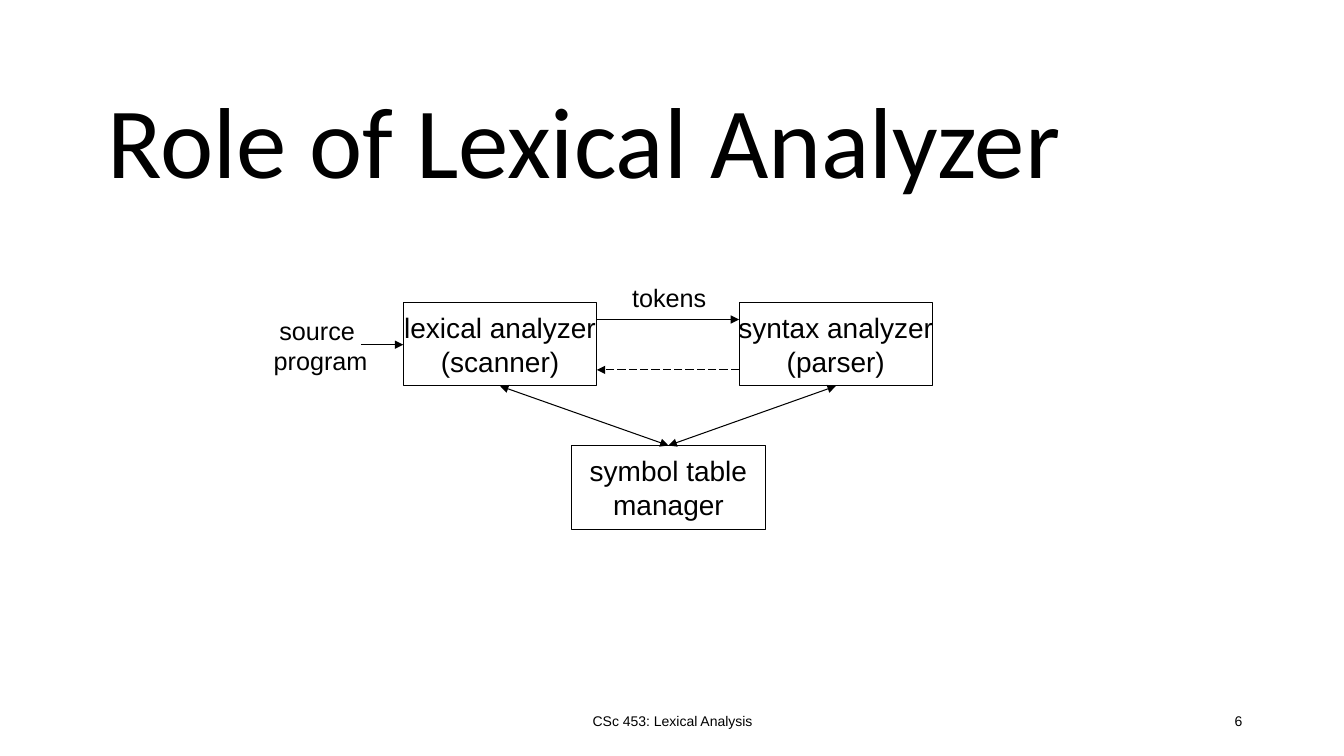
from dataclasses import dataclass

from lxml.etree import SubElement
from pptx import Presentation
from pptx.dml.color import RGBColor
from pptx.enum.dml import MSO_LINE
from pptx.enum.shapes import MSO_CONNECTOR, MSO_SHAPE
from pptx.enum.text import MSO_ANCHOR, MSO_AUTO_SIZE, PP_ALIGN
from pptx.oxml.ns import qn
from pptx.util import Inches, Pt

BLACK = RGBColor(0x00, 0x00, 0x00)
BOX_W, BOX_H = 1.92, 0.83
LINE_W = Pt(0.75)


@dataclass
class Box:
    x: float
    y: float
    lines: list[str]

    @property
    def right(self) -> float:
        return self.x + BOX_W

    @property
    def bottom(self) -> float:
        return self.y + BOX_H

    @property
    def center(self) -> float:
        return self.x + BOX_W / 2


@dataclass
class Label:
    x: float
    y: float
    w: float
    h: float
    lines: list[str]
    size: int = 18
    align: PP_ALIGN = PP_ALIGN.CENTER
    anchor: MSO_ANCHOR = MSO_ANCHOR.TOP
    wrap: bool = False


@dataclass
class Arrow:
    start: tuple[float, float]
    end: tuple[float, float]
    double: bool = False
    dashed: bool = False


SCANNER = Box(4, 3, ["lexical analyzer", "(scanner)"])
PARSER = Box(7.33, 3, ["syntax analyzer", "(parser)"])
SYMBOLS = Box(5.67, 4.42, ["symbol table", "manager"])

LABELS = [
    Label(4.42, 6.95, 4.5, 0.4, ["CSc 453: Lexical Analysis"], 10,
          anchor=MSO_ANCHOR.MIDDLE, wrap=True),
    Label(9.42, 6.95, 3, 0.4, ["6"], 10, PP_ALIGN.RIGHT, MSO_ANCHOR.MIDDLE, True),
    Label(2.61, 3.08, 1.14, 0.71, ["source ", "program"]),
    Label(6.17, 2.75, 0.95, 0.4, ["tokens"], align=PP_ALIGN.LEFT),
]

ARROWS = [
    Arrow((3.58, 3.42), (SCANNER.x, 3.42)),
    Arrow((SCANNER.right, 3.17), (PARSER.x, 3.17)),
    Arrow((PARSER.x, 3.67), (SCANNER.right, 3.67), dashed=True),
] + [
    Arrow((box.center, box.bottom), (SYMBOLS.center, SYMBOLS.y), double=True)
    for box in (SCANNER, PARSER)
]


def write_lines(tf, lines: list[str], size: int, align: PP_ALIGN) -> None:
    for i, line in enumerate(lines):
        p = tf.add_paragraph() if i else tf.paragraphs[0]
        p.text = line
        p.alignment = align
        p.font.name = "Arial"
        p.font.size = Pt(size)
        p.font.color.rgb = BLACK


def add_title(slide, text: str) -> None:
    title = slide.shapes.title
    title.left, title.top = Inches(0.97), Inches(0.97)
    title.width, title.height = Inches(10.38), Inches(0.95)
    tf = title.text_frame
    tf.auto_size = MSO_AUTO_SIZE.NONE
    tf.vertical_anchor = MSO_ANCHOR.MIDDLE
    p = tf.paragraphs[0]
    p.text = text
    p.alignment = PP_ALIGN.LEFT
    p.line_spacing = 0.9
    p.font.name = "Calibri"
    p.font.size = Pt(72)
    p.font.color.rgb = BLACK


def add_box(slide, box: Box) -> None:
    sp = slide.shapes.add_shape(MSO_SHAPE.RECTANGLE, Inches(box.x), Inches(box.y),
                                Inches(BOX_W), Inches(BOX_H))
    sp.shadow.inherit = False
    sp.fill.background()
    sp.line.color.rgb = BLACK
    sp.line.width = LINE_W
    tf = sp.text_frame
    tf.word_wrap = False
    tf.vertical_anchor = MSO_ANCHOR.MIDDLE
    write_lines(tf, box.lines, 20, PP_ALIGN.CENTER)


def add_label(slide, label: Label) -> None:
    sp = slide.shapes.add_textbox(Inches(label.x), Inches(label.y),
                                  Inches(label.w), Inches(label.h))
    tf = sp.text_frame
    tf.word_wrap = label.wrap
    tf.auto_size = MSO_AUTO_SIZE.NONE if label.wrap else MSO_AUTO_SIZE.SHAPE_TO_FIT_TEXT
    tf.vertical_anchor = label.anchor
    write_lines(tf, label.lines, label.size, label.align)


def add_arrow(slide, arrow: Arrow) -> None:
    cxn = slide.shapes.add_connector(MSO_CONNECTOR.STRAIGHT,
                                     *map(Inches, arrow.start + arrow.end))
    cxn.line.color.rgb = BLACK
    cxn.line.width = LINE_W
    if arrow.dashed:
        cxn.line.dash_style = MSO_LINE.LONG_DASH
    ln = cxn.line._get_or_add_ln()
    for end in ("a:headEnd", "a:tailEnd") if arrow.double else ("a:tailEnd",):
        SubElement(ln, qn(end), type="triangle")
    SubElement(cxn._element.spPr, qn("a:effectLst"))


def main() -> None:
    prs = Presentation()
    prs.slide_width, prs.slide_height = Inches(13.33), Inches(7.5)
    slide = prs.slides.add_slide(prs.slide_layouts[5])
    add_title(slide, "Role of Lexical Analyzer")
    for box in (SCANNER, PARSER, SYMBOLS):
        add_box(slide, box)
    for arrow in ARROWS:
        add_arrow(slide, arrow)
    for label in LABELS:
        add_label(slide, label)
    prs.save("out.pptx")


if __name__ == "__main__":
    main()
